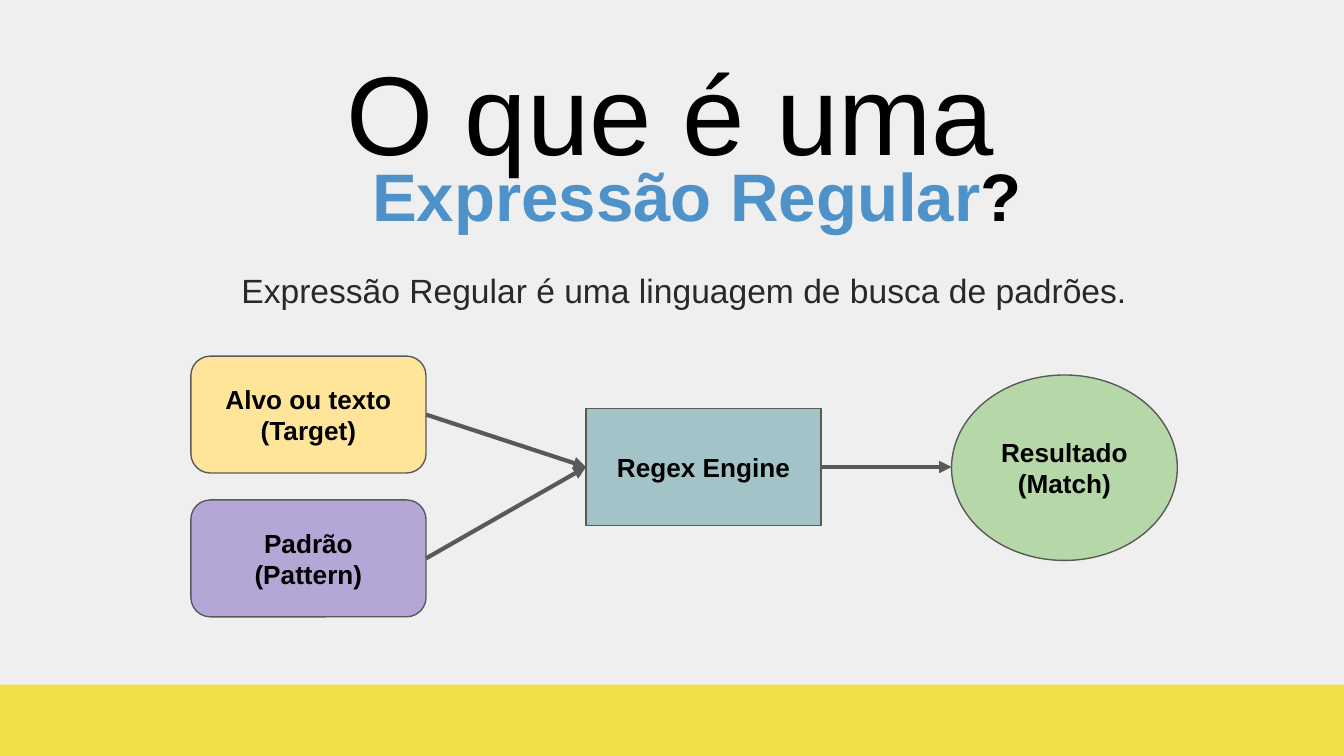
from lxml import etree
from pptx import Presentation
from pptx.dml.color import RGBColor
from pptx.enum import shapes, text
from pptx.oxml.ns import qn
from pptx.util import Inches, Pt

BLACK, GREY = "000000", "595959"


def rgb(color):
    return RGBColor.from_string(color)


def write(shape, lines, size, bold=False, align=text.PP_ALIGN.CENTER,
          anchor=text.MSO_ANCHOR.TOP, spacing=None):
    """Fill a shape with lines, each a list of (words, colour) runs."""
    frame = shape.text_frame
    frame.word_wrap = True
    frame.auto_size = text.MSO_AUTO_SIZE.NONE
    frame.vertical_anchor = anchor
    frame.margin_left = frame.margin_right = Inches(0.1)
    frame.margin_top = frame.margin_bottom = Inches(0.1)
    for i, runs in enumerate(lines):
        paragraph = frame.add_paragraph() if i else frame.paragraphs[0]
        paragraph.alignment = align
        paragraph.line_spacing = spacing
        for words, color in runs:
            run = paragraph.add_run()
            run.text = words
            run.font.name, run.font.size, run.font.bold = "Arial", Pt(size), bold
            run.font.color.rgb = rgb(color)


prs = Presentation()
prs.slide_width = Inches(10)
prs.slide_height = prs.slide_width * 9 // 16
slide = prs.slides.add_slide(prs.slide_layouts[5])
slide.background.fill.solid()
slide.background.fill.fore_color.rgb = rgb("EFEFEF")

band_height = Inches(0.53)
band = slide.shapes.add_shape(shapes.MSO_SHAPE.RECTANGLE, 0, prs.slide_height - band_height,
                              prs.slide_width, band_height)
band.shadow.inherit = False
band.fill.solid()
band.fill.fore_color.rgb = rgb("F3DF49")
band.line.fill.background()

title = slide.shapes.title
title.left, title.top = Inches(0.59), Inches(0.42)
title.width, title.height = Inches(8.8), Inches(0.99)
write(title, [[("O que é uma", BLACK)]], 60, spacing=0.8)

topic = slide.shapes.add_textbox(Inches(2.67), Inches(1.05), Inches(5.12), Inches(0.81))
write(topic, [[("Expressão Regular", "4E92C9"), ("?", BLACK)]], 36, bold=True,
      align=text.PP_ALIGN.LEFT)

definition = slide.shapes.add_textbox(Inches(1.69), Inches(1.86), Inches(6.8), Inches(0.79))
write(definition, [[("Expressão Regular é uma linguagem de busca de padrões.", "292929")]],
      18, spacing=1.15)

# Flow: two inputs, the engine, the result
ROUNDED, BOX, OVAL = (shapes.MSO_SHAPE.ROUNDED_RECTANGLE, shapes.MSO_SHAPE.RECTANGLE,
                      shapes.MSO_SHAPE.OVAL)
steps = []
for kind, left, top, width, height, color, lines in [
    (ROUNDED, 1.42, 2.65, 1.75, 0.87, "FFE599", ["Alvo ou texto", "(Target)"]),
    (ROUNDED, 1.42, 3.72, 1.75, 0.87, "B4A7D6", ["Padrão", "(Pattern)"]),
    (BOX, 4.36, 3.04, 1.75, 0.87, "A2C4C9", ["Regex Engine"]),
    (OVAL, 7.08, 2.79, 1.68, 1.38, "B6D7A8", ["Resultado", "(Match)"]),
]:
    step = slide.shapes.add_shape(kind, Inches(left), Inches(top),
                                  Inches(width), Inches(height))
    step.shadow.inherit = False
    step.fill.solid()
    step.fill.fore_color.rgb = rgb(color)
    step.line.color.rgb = rgb(GREY)
    step.line.width = Pt(0.75)
    write(step, [[(line, BLACK)] for line in lines], 14, bold=True,
          anchor=text.MSO_ANCHOR.MIDDLE)
    steps.append(step)

target, pattern, engine, result = steps
flow_y = engine.top + engine.height // 2
for source, goal in [(target, engine), (pattern, engine), (engine, result)]:
    arrow = slide.shapes.add_connector(shapes.MSO_CONNECTOR.STRAIGHT,
                                       0, 0, goal.left, flow_y)
    arrow.begin_connect(source, 3)
    if goal is engine:
        arrow.end_connect(goal, 1)
    arrow.line.color.rgb = rgb(GREY)
    arrow.line.width = Pt(2.25)
    properties = arrow._element.spPr
    etree.SubElement(properties.find(qn("a:ln")), qn("a:tailEnd"), type="triangle")
    etree.SubElement(properties, qn("a:effectLst"))

prs.save("out.pptx")
